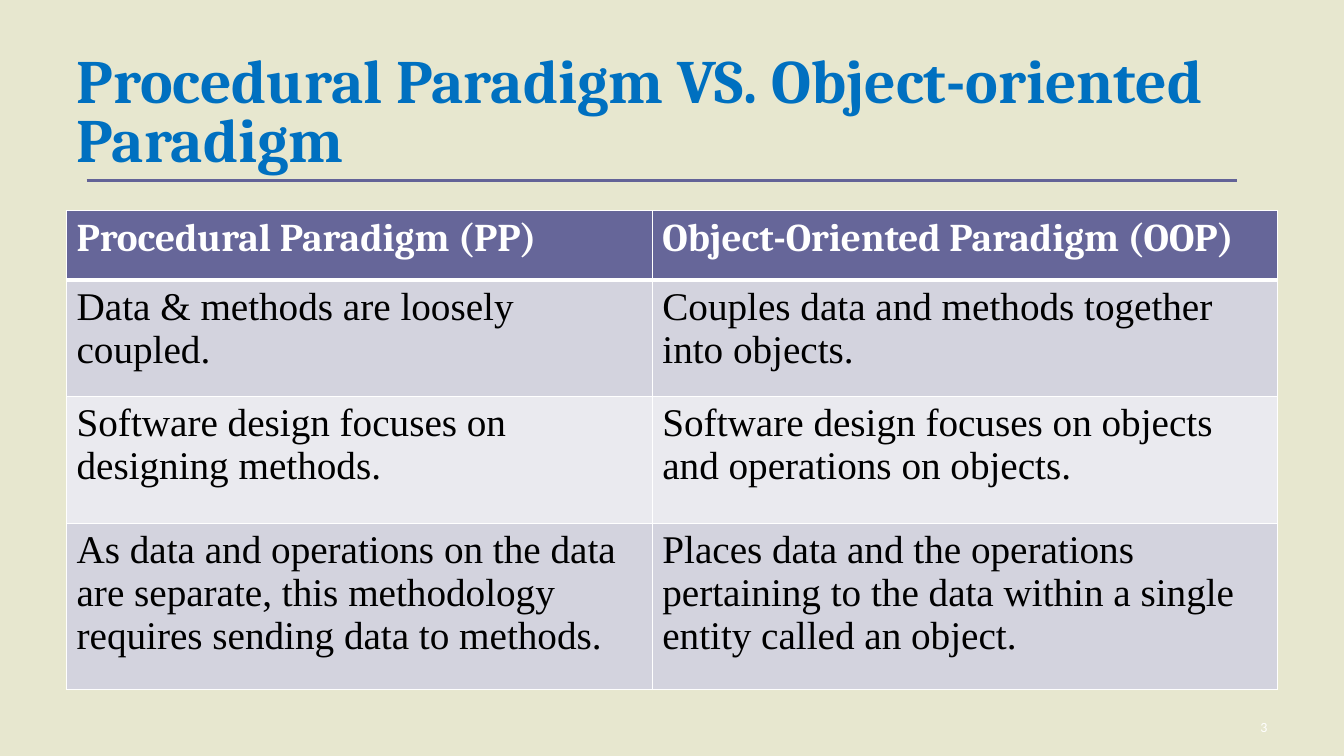
from lxml.etree import SubElement
from pptx import Presentation
from pptx.dml.color import RGBColor
from pptx.enum.shapes import MSO_CONNECTOR
from pptx.enum.text import MSO_ANCHOR, MSO_AUTO_SIZE, PP_ALIGN
from pptx.oxml.ns import qn
from pptx.util import Inches, Pt

SAND = RGBColor(0xE7, 0xE7, 0xCF)
BLUE = RGBColor(0x00, 0x70, 0xC0)
PLUM = RGBColor(0x66, 0x66, 0x99)
RULE = RGBColor(0x63, 0x63, 0x97)
DARK = RGBColor(0xD3, 0xD3, 0xDE)
PALE = RGBColor(0xEA, 0xEA, 0xEF)
WHITE = RGBColor(0xFF, 0xFF, 0xFF)
BLACK = RGBColor(0x00, 0x00, 0x00)

ROWS = [
    ("Procedural Paradigm (PP)", "Object-Oriented Paradigm (OOP)"),
    ("Data & methods are loosely coupled.",
     "Couples data and methods together into objects."),
    ("Software design focuses on designing methods.",
     "Software design focuses on objects and operations on objects."),
    ("As data and operations on the data are separate, this methodology "
     "requires sending data to methods.",
     "Places data and the operations pertaining to the data within a single "
     "entity called an object."),
]
WIDTHS = [5.81, 6.2]
HEIGHTS = [0.69, 1.15, 1.26, 1.65]


class Deck:
    head = "Cambria"
    body = "Times New Roman"

    def __init__(self, prs):
        self.slide = prs.slides.add_slide(prs.slide_layouts[5])
        fill = self.slide.background.fill
        fill.solid()
        fill.fore_color.rgb = SAND

    def text(self, para, words, size, face, color, bold=False):
        run = para.add_run()
        run.text = words
        run.font.size = Pt(size)
        run.font.name = face
        run.font.color.rgb = color
        run.font.bold = bold

    def place(self, shape, left, top, width, height):
        shape.left, shape.top = Inches(left), Inches(top)
        shape.width, shape.height = Inches(width), Inches(height)

    def title(self, words, *box):
        shape = self.slide.shapes.title
        self.place(shape, *box)
        frame = shape.text_frame
        frame.word_wrap = True
        frame.auto_size = MSO_AUTO_SIZE.NONE
        frame.vertical_anchor = MSO_ANCHOR.MIDDLE
        para = frame.paragraphs[0]
        para.alignment = PP_ALIGN.LEFT
        para.line_spacing = 0.8
        self.text(para, words, 44, self.head, BLUE, True)

    def edge(self, cell, side, width):
        props = cell._tc.get_or_add_tcPr()
        line = SubElement(props, qn("a:" + side), w=str(Pt(width)))
        fill = SubElement(line, qn("a:solidFill"))
        SubElement(fill, qn("a:srgbClr"), val=str(WHITE))

    def cell(self, cell, words, row):
        top = row == 0
        for side in ("lnL", "lnR", "lnT", "lnB"):
            thick = (top and side == "lnB") or (row == 1 and side == "lnT")
            self.edge(cell, side, 3 if thick else 1)
        cell.fill.solid()
        cell.fill.fore_color.rgb = PLUM if top else DARK if row % 2 else PALE
        face, color = (self.head, WHITE) if top else (self.body, BLACK)
        self.text(cell.text_frame.paragraphs[0], words, 28, face, color, top)

    def table(self, rows, widths, heights, left, top):
        frame = self.slide.shapes.add_table(
            len(rows), len(widths), Inches(left), Inches(top),
            Inches(sum(widths)), Inches(sum(heights)))
        grid = frame.table
        for col, width in zip(grid.columns, widths):
            col.width = Inches(width)
        for r, (texts, height) in enumerate(zip(rows, heights)):
            grid.rows[r].height = Inches(height)
            for c, words in enumerate(texts):
                self.cell(grid.cell(r, c), words, r)

    def line(self, left, right, y):
        line = self.slide.shapes.add_connector(
            MSO_CONNECTOR.STRAIGHT, Inches(left), Inches(y),
            Inches(right), Inches(y))
        line.line.color.rgb = RULE
        line.line.width = Pt(2.5)
        SubElement(line._element.spPr, qn("a:effectLst"))

    def number(self, words, *box):
        shape = self.slide.shapes.add_textbox(*map(Inches, box))
        frame = shape.text_frame
        frame.word_wrap = True
        frame.vertical_anchor = MSO_ANCHOR.MIDDLE
        para = frame.paragraphs[0]
        para.alignment = PP_ALIGN.RIGHT
        self.text(para, words, 10, "Calibri", WHITE)


def main():
    prs = Presentation()
    prs.slide_width, prs.slide_height = Inches(13.33), Inches(7.5)
    deck = Deck(prs)
    deck.title("Procedural Paradigm VS. Object-oriented Paradigm",
               0.66, 0.52, 12.01, 1.25)
    deck.table(ROWS, WIDTHS, HEIGHTS, 0.66, 2.09)
    deck.line(0.86, 12.27, 1.79)
    deck.number("3", 11.67, 7.01, 1, 0.4)
    prs.save("out.pptx")


if __name__ == "__main__":
    main()
